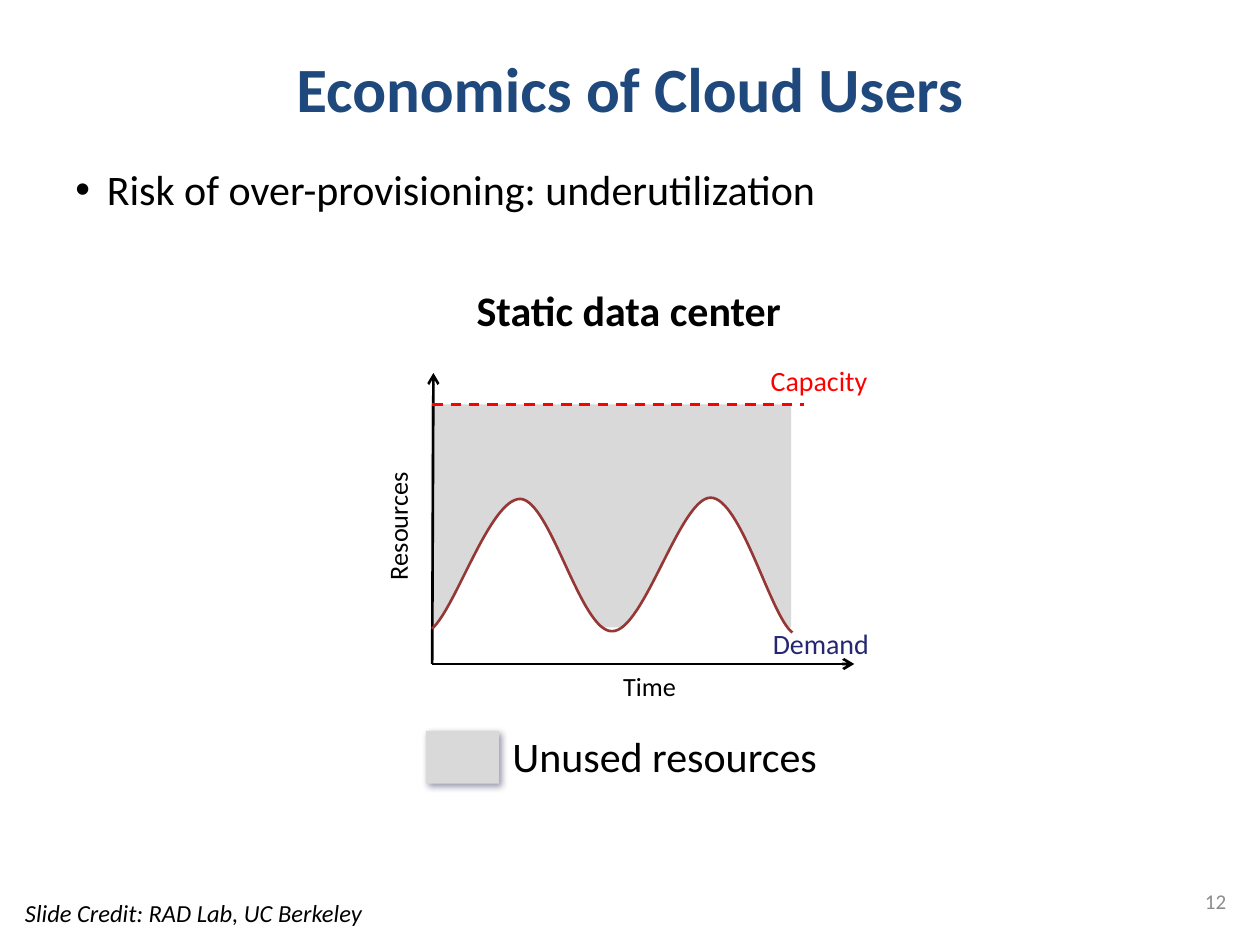
from lxml import etree
from pptx import Presentation
from pptx import util as u
from pptx.dml.color import RGBColor
from pptx.enum import dml, shapes, text
from pptx.oxml import ns

BLACK = RGBColor(0x00, 0x00, 0x00)
WHITE = RGBColor(0xFF, 0xFF, 0xFF)
NAVY = RGBColor(0x1F, 0x49, 0x7D)
INDIGO = RGBColor(0x26, 0x26, 0x73)
RED = RGBColor(0xFF, 0x00, 0x00)
MAROON = RGBColor(0x95, 0x37, 0x35)
UNUSED_GRAY = RGBColor(0xD9, 0xD9, 0xD9)
NUMBER_GRAY = RGBColor(0x8C, 0x8C, 0x8C)

deck = Presentation()
deck.slide_width, deck.slide_height = u.Inches(10), u.Inches(7.5)
page = deck.slides.add_slide(deck.slide_layouts[6])


def add_text(words, place, size, color=BLACK, align="CENTER", bold=False,
             italic=False, wrap=False, middle=False, bullet=False, vert=None):
    box = page.shapes.add_textbox(*map(u.Inches, place))
    frame = box.text_frame
    frame.word_wrap = wrap
    if middle:
        frame.vertical_anchor = text.MSO_ANCHOR.MIDDLE
    if vert:
        frame._txBody.bodyPr.set("vert", vert)
    para = frame.paragraphs[0]
    para.alignment = getattr(text.PP_ALIGN, align)
    if bullet:
        props = para._p.get_or_add_pPr()
        props.set("marL", str(u.Inches(0.25)))
        props.set("indent", str(u.Inches(-0.25)))
        etree.SubElement(props, ns.qn("a:buFont")).set("typeface", "Arial")
        etree.SubElement(props, ns.qn("a:buChar")).set("char", "•")
    span = para.add_run()
    span.text = words
    span.font.name = "Calibri"
    span.font.size = u.Pt(size)
    span.font.bold, span.font.italic = bold, italic
    span.font.color.rgb = color


def add_line(start, end, color, arrow=False, dashed=False):
    line = page.shapes.add_connector(
        shapes.MSO_CONNECTOR.STRAIGHT, *map(u.Inches, (*start, *end)))
    line.line.color.rgb = color
    line.line.width = u.Pt(1.5)
    if dashed:
        line.line.dash_style = dml.MSO_LINE.DASH
    if arrow:
        etree.SubElement(line.line._get_or_add_ln(), ns.qn("a:tailEnd")).set("type", "arrow")
    etree.SubElement(line._element.spPr, ns.qn("a:effectLst"))


# Unused area of the graph and its legend swatch
for place in ((3.42, 3.21, 2.86, 1.77), (3.38, 5.8, 0.58, 0.42)):
    swatch = page.shapes.add_shape(shapes.MSO_SHAPE.RECTANGLE, *map(u.Inches, place))
    swatch.shadow.inherit = False
    swatch.fill.solid()
    swatch.fill.fore_color.rgb = UNUSED_GRAY
    swatch.line.fill.background()

# Soft shadow under the legend swatch
effects = swatch._element.spPr.find(ns.qn("a:effectLst"))
shadow = etree.SubElement(effects, ns.qn("a:outerShdw"), blurRad=str(u.Pt(4)),
                          dist=str(u.Pt(2)), dir=str(45 * 60000), rotWithShape="0")
tint = etree.SubElement(shadow, ns.qn("a:srgbClr"), val="161645")
etree.SubElement(tint, ns.qn("a:alpha"), val="43000")
add_text("Unused resources", (3.95, 5.75, 2.65, 0.5), 24)

# Headings
add_text("Economics of Cloud Users", (0.5, 0.3, 9, 0.78), 36, color=NAVY,
         bold=True, wrap=True, middle=True)
add_text("Risk of over-provisioning: underutilization", (0.5, 1.25, 9, 5.5), 24,
         align="LEFT", wrap=True, bullet=True)
add_text("Static data center", (2.78, 2.21, 4.42, 0.5), 24, bold=True, wrap=True)

# Axes
origin = (3.43, 5.27)
add_line(origin, (3.44, 2.96), BLACK, arrow=True)
add_line(origin, (6.78, 5.27), BLACK, arrow=True)

# Demand curve: each three points after the start make one Bezier segment
curve_points = [(3.43, 4.99),
                (3.62, 4.82), (3.89, 3.96), (4.13, 3.96),
                (4.37, 3.97), (4.61, 5.02), (4.86, 5.01),
                (5.11, 5.01), (5.4, 3.95), (5.64, 3.95),
                (5.88, 3.95), (6.12, 4.9), (6.29, 5.02)]
start, *rest = [(u.Inches(x), u.Inches(y)) for x, y in curve_points]
builder = page.shapes.build_freeform(*start)
builder.add_line_segments(rest, close=False)
demand = builder.convert_to_shape()
outline = demand._element.spPr.find(".//" + ns.qn("a:path"))
steps = outline.findall(ns.qn("a:lnTo"))
for first in range(0, len(steps), 3):
    segment = etree.SubElement(outline, ns.qn("a:cubicBezTo"))
    for step in steps[first:first + 3]:
        segment.append(step[0])
        outline.remove(step)
demand.shadow.inherit = False
demand.fill.solid()
demand.fill.fore_color.rgb = WHITE
demand.line.color.rgb = MAROON
demand.line.width = u.Pt(1.5)

# Capacity line and graph labels
add_line((3.43, 3.21), (6.38, 3.21), RED, dashed=True)
add_text("Demand", (6.03, 4.92, 0.97, 0.37), 16, color=INDIGO)
add_text("Capacity", (6.01, 2.84, 0.98, 0.37), 16, color=RED)
add_text("Time", (4.83, 5.27, 0.65, 0.35), 15)
add_text("Resources", (2.98, 3.69, 0.45, 0.97), 15, vert="vert270")

# Footer
add_text("Slide Credit: RAD Lab, UC Berkeley", (0.1, 7.08, 2.9, 0.34), 14,
         align="LEFT", italic=True)
add_text("12", (7.5, 6.95, 2.33, 0.4), 12, color=NUMBER_GRAY, align="RIGHT",
         wrap=True, middle=True)

deck.save("out.pptx")
